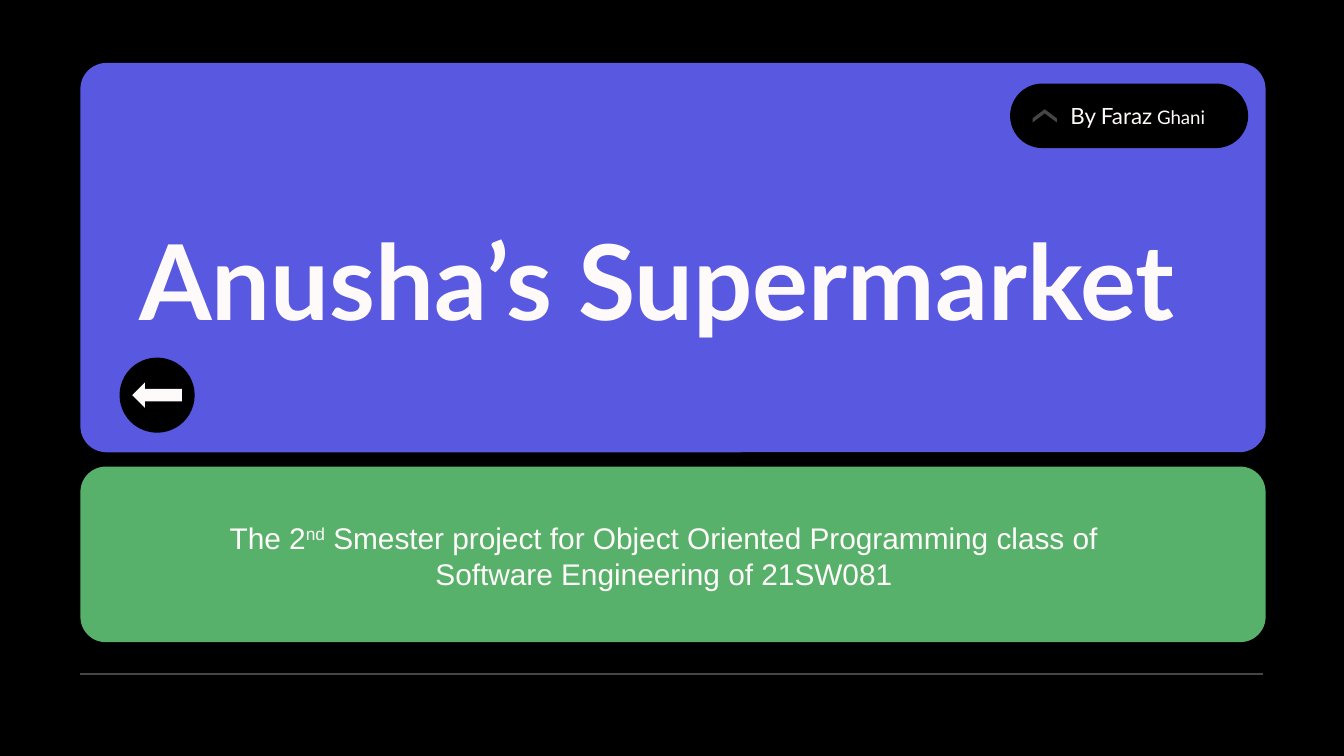
from lxml import etree
from pptx import Presentation, util as u
from pptx.dml.color import RGBColor
from pptx.enum import shapes as s, text as t
from pptx.oxml.ns import qn

BLACK, GREY, SNOW = "000000", "464646", "FFFAFA"
BLUE, GREEN = "5858E0", "57B16B"


def rgb(code):
    return RGBColor.from_string(code)


def cm(*vals):
    return [u.Cm(v) for v in vals]


def draw(page, kind, box, fill, adj=(), turn=0):
    form = page.shapes.add_shape(kind, *cm(*box))
    form.shadow.inherit = False
    form.fill.solid()
    form.fill.fore_color.rgb = rgb(fill)
    form.line.fill.background()
    for i, val in enumerate(adj):
        form.adjustments[i] = val
    form.rotation = turn
    return form


def write(form, runs, font, anchor, align, bold=False):
    frame = form.text_frame
    frame.word_wrap = True
    frame.auto_size = t.MSO_AUTO_SIZE.NONE
    frame.vertical_anchor = anchor
    for side in ("left", "top", "right", "bottom"):
        setattr(frame, "margin_" + side, u.Cm(0.25))
    para = frame.paragraphs[0]
    para.alignment = align
    for words, size, lift in runs:
        run = para.add_run()
        run.text = words
        run.font.name = font
        run.font.size = u.Pt(size)
        run.font.bold = bold
        run.font.color.rgb = rgb(SNOW)
        if lift:
            run.font._element.set("baseline", str(lift * 1000))


def label(page, box, *style):
    write(page.shapes.add_textbox(*cm(*box)), *style)


def rule(page, x, y, wide):
    line = page.shapes.add_connector(s.MSO_CONNECTOR.STRAIGHT, *cm(x, y, x + wide, y))
    line.line.color.rgb = rgb(GREY)
    line.line.width = u.Pt(1.5)
    etree.SubElement(line._element.spPr, qn("a:effectLst"))


def badge(page, x, y, wide, high):
    draw(page, s.MSO_SHAPE.ROUNDED_RECTANGLE, (x, y, wide, high), BLACK, [0.5])
    draw(page, s.MSO_SHAPE.CHEVRON, (x + 0.53, y + 0.38, 0.25, 0.46), GREY, [0.69], 270)
    runs = [("By", 12, 0), (" ", 10, 0), ("Faraz", 12, 0), (" Ghani", 10, 0)]
    label(page, (x + 0.89, y, wide - 1.07, high), runs, "Lato",
          t.MSO_ANCHOR.MIDDLE, t.PP_ALIGN.LEFT)


def button(page, x, y, size):
    draw(page, s.MSO_SHAPE.OVAL, (x, y, size, size), BLACK)
    wide, high = 0.94, 0.48
    draw(page, s.MSO_SHAPE.LEFT_ARROW,
         (x + (size - wide) / 2, y + (size - high) / 2, wide, high), SNOW, [0.5, 0.5])


def hero(page, x, y, wide, high):
    draw(page, s.MSO_SHAPE.ROUNDED_RECTANGLE, (x, y, wide, high), BLUE, [0.067])
    title = page.shapes.title
    title.left, title.top, title.width, title.height = cm(x + 0.86, y + 0.3, 21.21, 5.21)
    write(title, [("Anusha’s Supermarket", 56, 0)], "Lato",
          t.MSO_ANCHOR.BOTTOM, t.PP_ALIGN.LEFT, True)
    page.shapes._spTree.append(title._element)
    badge(page, x + wide - 4.83, y + 0.39, 4.5, 1.22)
    button(page, x + 0.74, y + 5.57, 1.42)


def note(page, x, y, wide, high):
    draw(page, s.MSO_SHAPE.ROUNDED_RECTANGLE, (x, y, wide, high), GREEN, [0.145])
    runs = [("The 2", 16, 0), ("nd", 16, 30),
            (" Smester project for Object Oriented Programming class of "
             "Software Engineering of 21SW081", 16, 0)]
    label(page, (x + 1.52, y + 0.76, 19.02, 1.83), runs, "Arial",
          t.MSO_ANCHOR.TOP, t.PP_ALIGN.CENTER)


def main():
    deck = Presentation()
    deck.slide_width, deck.slide_height = cm(25.4, 14.29)
    page = deck.slides.add_slide(deck.slide_layouts[5])
    page.background.fill.solid()
    page.background.fill.fore_color.rgb = rgb(BLACK)
    left, wide = 1.52, 22.4
    rule(page, left, 12.74, 22.34)
    hero(page, left, 1.19, wide, 7.36)
    note(page, left, 8.82, wide, 3.32)
    deck.save("out.pptx")


if __name__ == "__main__":
    main()
